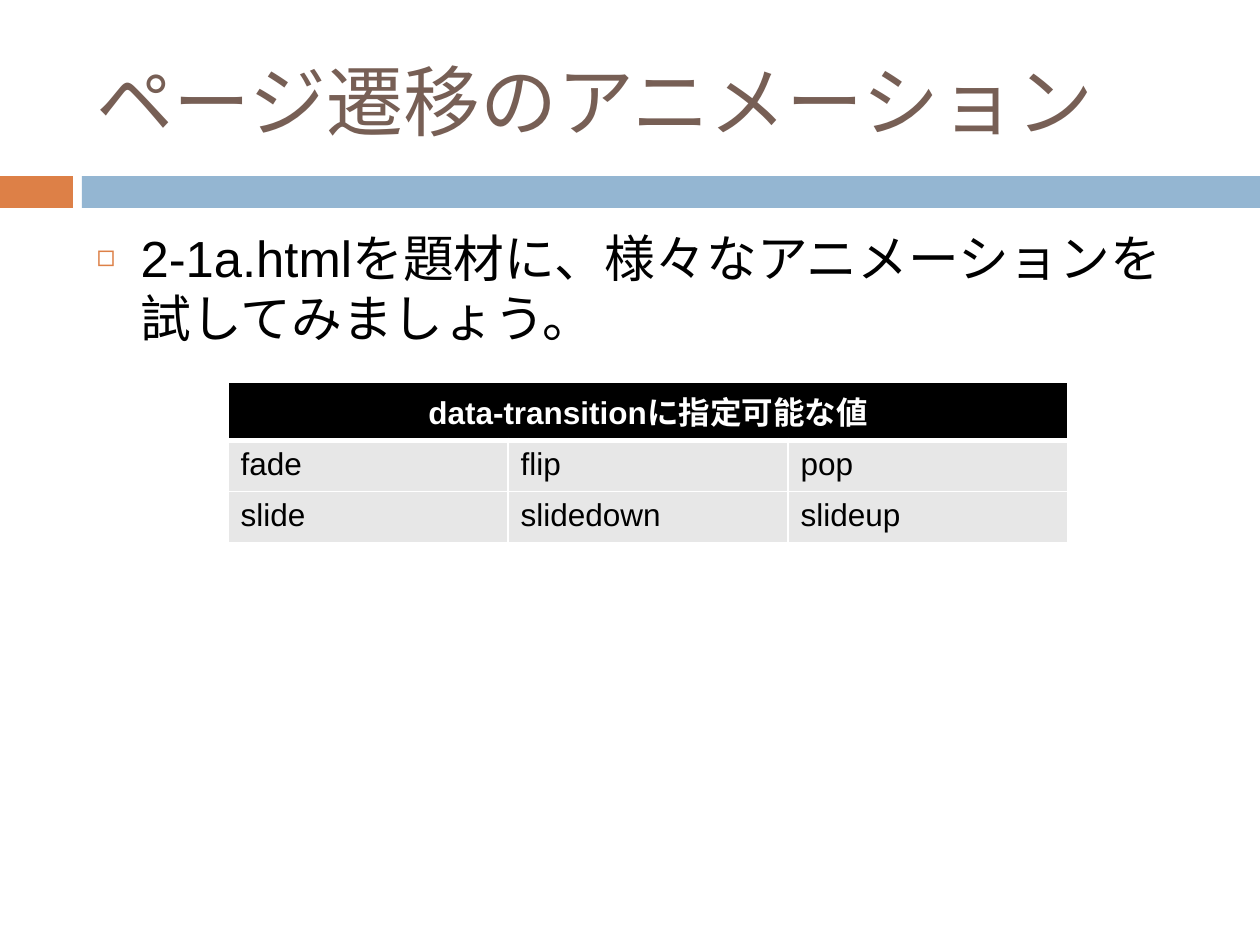
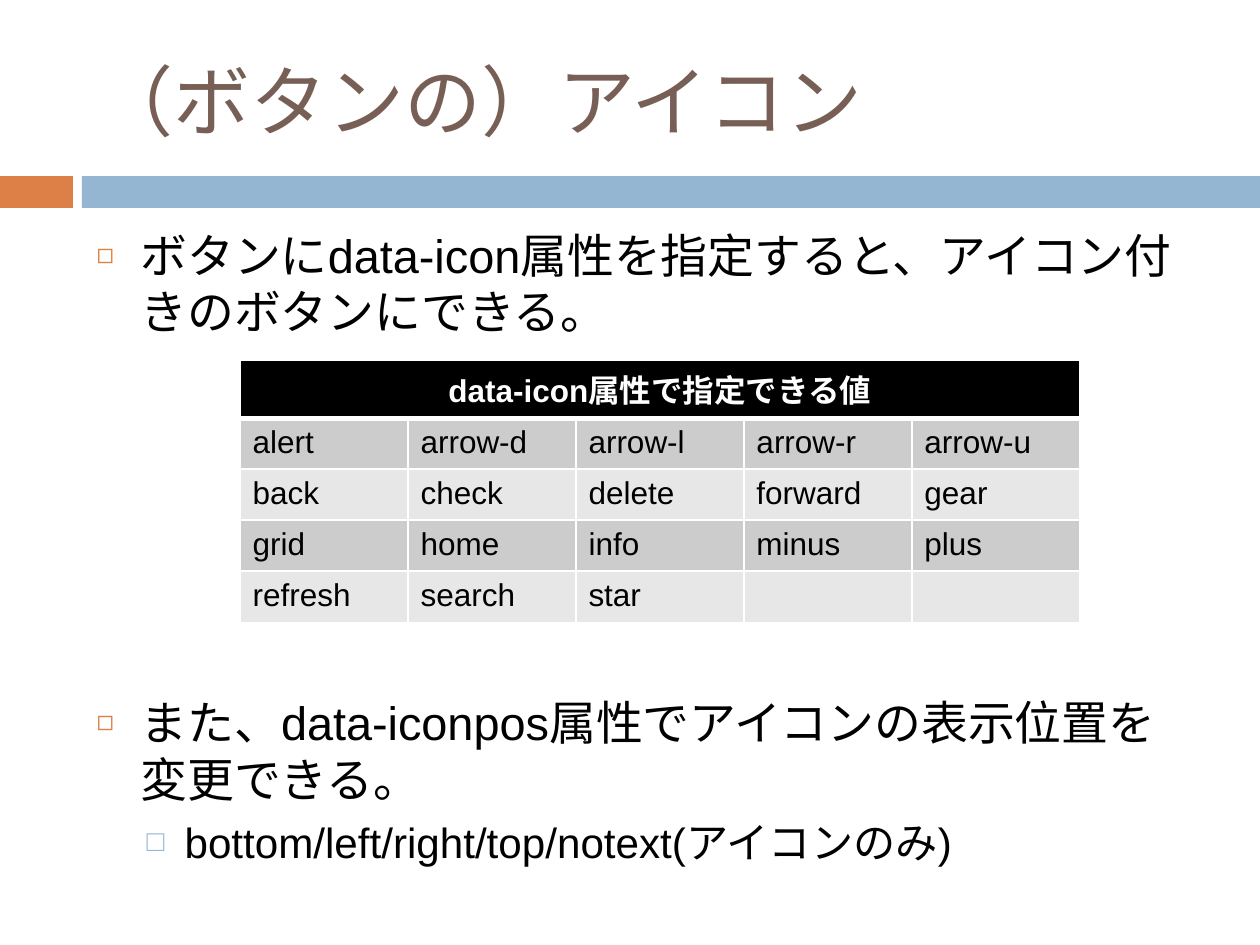
from lxml import etree
from pptx import Presentation
from pptx.dml.color import RGBColor
from pptx.enum.shapes import MSO_SHAPE
from pptx.enum.text import MSO_ANCHOR, MSO_AUTO_SIZE, PP_ALIGN
from pptx.oxml.ns import qn
from pptx.util import Emu, Pt

RECT = MSO_SHAPE.RECTANGLE
TOP, MIDDLE = MSO_ANCHOR.TOP, MSO_ANCHOR.MIDDLE
LEFT, CENTER = PP_ALIGN.LEFT, PP_ALIGN.CENTER
NO_FIT = MSO_AUTO_SIZE.NONE

ORANGE = RGBColor(0xDD, 0x80, 0x47)
BLUE = RGBColor(0x94, 0xB6, 0xD2)
BROWN = RGBColor(0x77, 0x5F, 0x55)
BLACK = RGBColor(0, 0, 0)
WHITE = RGBColor(0xFF, 0xFF, 0xFF)
GRAY = RGBColor(0xCC, 0xCC, 0xCC)
PALE = RGBColor(0xE7, 0xE7, 0xE7)

FONT = "Arial"
DPI = 126
WIDTH, HEIGHT = 1260, 945
TABLE_W, ROW_H = 840, 51
# Per list level: left margin, hanging indent, bullet, its colour and percent
LEVELS = [(44, 44, "◻", ORANGE, 60), (88, 38, "□", BLUE, 70)]


def px(n):
    return Emu(round(n * 914400 / DPI))


def place(shape, x, y, w, h):
    shape.left, shape.top, shape.width, shape.height = map(px, (x, y, w, h))


def style(para, size, color, bold=False):
    for run in para.runs:
        font = run.font
        font.name, font.size, font.bold = FONT, Pt(size), bold
        font.color.rgb = color


def add_band(slide, x, w, color):
    band = slide.shapes.add_shape(RECT, px(x), px(176), px(w), px(32))
    band.shadow.inherit = False
    band.fill.solid()
    band.fill.fore_color.rgb = color
    band.line.fill.background()


def add_slide(deck, title):
    """Add a slide with the shared bands and title style."""
    slide = deck.slides.add_slide(deck.slide_layouts[1])
    add_band(slide, 0, 73, ORANGE)
    add_band(slide, 82, WIDTH - 82, BLUE)
    head = slide.shapes.title
    place(head, 84, 32, 1124, 136)
    frame = head.text_frame
    frame.text = title
    frame.auto_size, frame.vertical_anchor = NO_FIT, MIDDLE
    para = frame.paragraphs[0]
    para.alignment = LEFT
    style(para, 44, BROWN)
    return slide


def set_bullet(para, level):
    margin, hang, char, color, size = LEVELS[level]
    props = para._p.get_or_add_pPr()
    props.set("marL", str(px(margin)))
    props.set("indent", str(-px(hang)))
    tint = etree.SubElement(props, qn("a:buClr"))
    etree.SubElement(tint, qn("a:srgbClr"), val=str(color))
    etree.SubElement(props, qn("a:buSzPct"), val=str(size * 1000))
    etree.SubElement(props, qn("a:buChar"), char=char)


def add_list(slide, items):
    """Fill the body with items of (text, level, size, space before)."""
    body = slide.placeholders[1]
    place(body, 84, 220, 1124, 620)
    frame = body.text_frame
    frame.auto_size, frame.vertical_anchor = NO_FIT, TOP
    for i, (text, level, size, gap) in enumerate(items):
        para = frame.add_paragraph() if i else frame.paragraphs[0]
        para.text, para.level = text, level
        para.space_before = Pt(gap)
        set_bullet(para, level)
        style(para, size, BLACK)


def set_edges(cell, base):
    """Draw white cell borders, the bottom one base points wide."""
    props = cell._tc.get_or_add_tcPr()
    for side, width in zip("LRTB", (1, 1, 1, base)):
        line = etree.SubElement(props, qn("a:ln" + side), w=str(Pt(width)))
        fill = etree.SubElement(line, qn("a:solidFill"))
        etree.SubElement(fill, qn("a:srgbClr"), val=str(WHITE))


def fill_cell(cell, text, fill, color, head=False):
    set_edges(cell, 3 if head else 1)
    cell.fill.solid()
    cell.fill.fore_color.rgb = fill
    cell.text = text
    para = cell.text_frame.paragraphs[0]
    para.alignment = CENTER if head else LEFT
    style(para, 18, color, head)


def add_grid(slide, x, y, title, rows, fills):
    """Add a table with a merged heading and row fills that alternate."""
    cols = len(rows[0])
    table = slide.shapes.add_table(
        len(rows) + 1, cols, px(x), px(y), px(TABLE_W), px(ROW_H * (len(rows) + 1))
    ).table
    for col in table.columns:
        col.width = px(TABLE_W / cols)
    for c in range(cols):
        fill_cell(table.cell(0, c), "" if c else title, BLACK, WHITE, True)
    table.cell(0, 0).merge(table.cell(0, cols - 1))
    for r, row in enumerate(rows):
        for c in range(cols):
            text = row[c] if c < len(row) else ""
            fill_cell(table.cell(r + 1, c), text, fills[r % len(fills)], BLACK)


def main():
    deck = Presentation()
    deck.slide_width, deck.slide_height = px(WIDTH), px(HEIGHT)

    slide = add_slide(deck, "ページ遷移のアニメーション")
    add_list(slide, [
        ("2-1a.htmlを題材に、様々なアニメーションを試してみましょう。", 0, 29, 7),
    ])
    add_grid(slide, 228, 382, "data-transitionに指定可能な値", [
        ["fade", "flip", "pop"],
        ["slide", "slidedown", "slideup"],
    ], [PALE])

    slide = add_slide(deck, "（ボタンの）アイコン")
    add_list(slide, [
        ("ボタンにdata-icon属性を指定すると、アイコン付きのボタンにできる。", 0, 26.8, 7),
        ("また、data-iconpos属性でアイコンの表示位置を変更できる。", 0, 26.8, 203),
        ("bottom/left/right/top/notext(アイコンのみ)", 1, 24.1, 5.5),
    ])
    add_grid(slide, 240, 360, "data-icon属性で指定できる値", [
        ["alert", "arrow-d", "arrow-l", "arrow-r", "arrow-u"],
        ["back", "check", "delete", "forward", "gear"],
        ["grid", "home", "info", "minus", "plus"],
        ["refresh", "search", "star"],
    ], [GRAY, PALE])

    deck.save("out.pptx")


if __name__ == "__main__":
    main()
